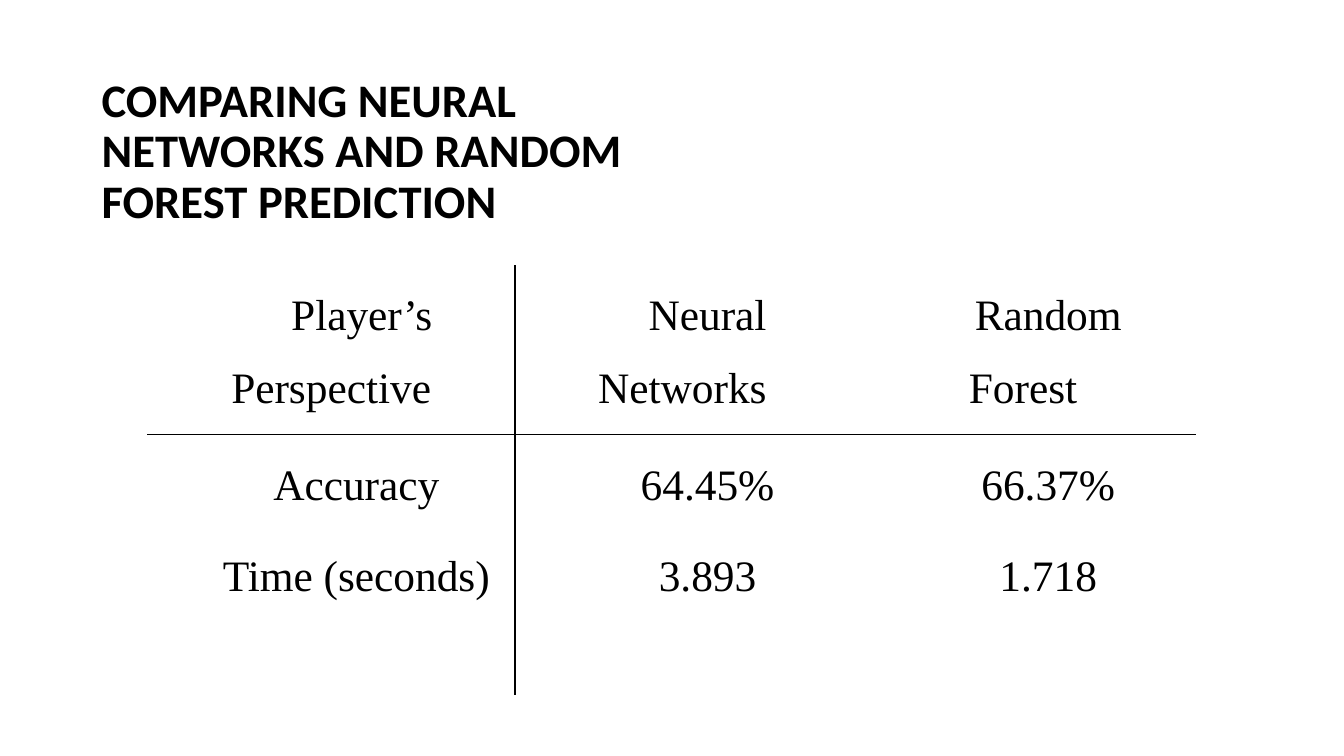
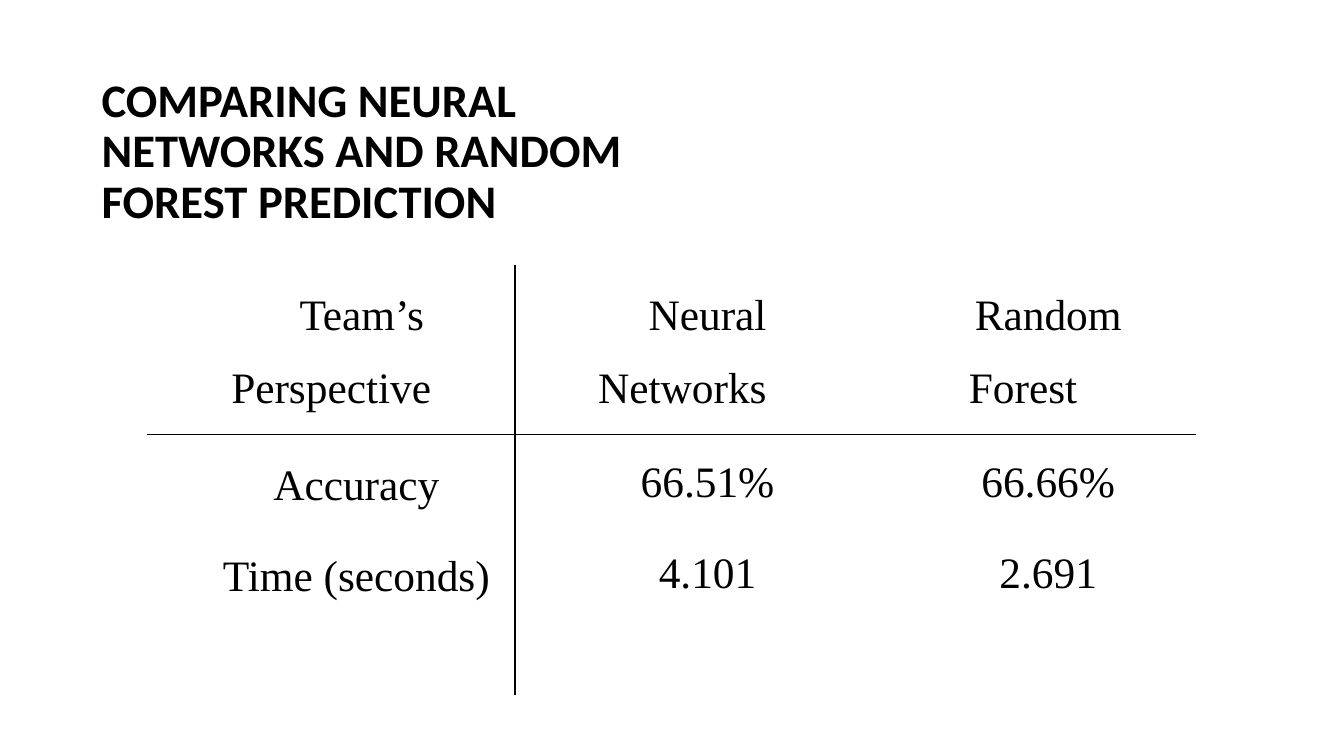
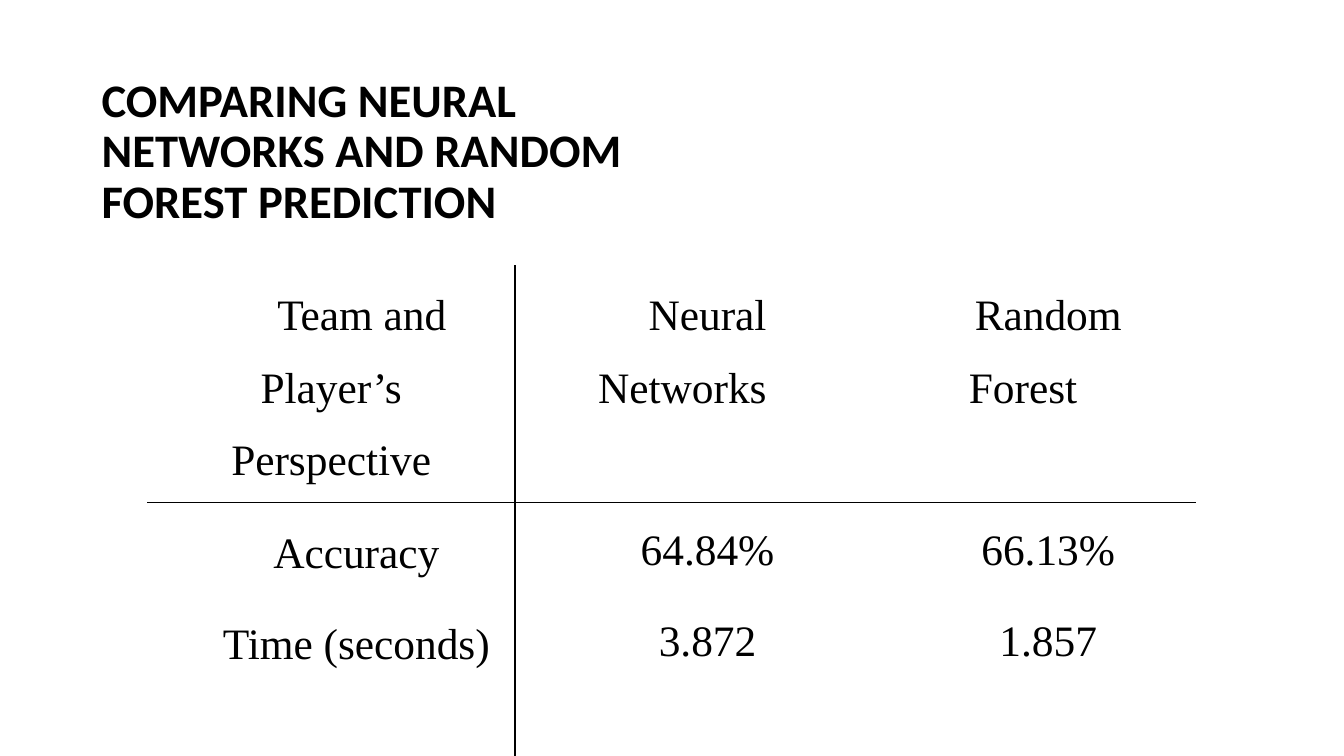
from lxml import etree
from pptx import Presentation
from pptx import util as u
from pptx.dml.color import RGBColor
from pptx.enum import text
from pptx.oxml.ns import qn

BLACK = RGBColor(0x00, 0x00, 0x00)
TITLE = "COMPARING NEURAL NETWORKS AND RANDOM FOREST PREDICTION"
TITLE_FONT = {"name": "Calibri", "size": u.Pt(33.3), "bold": True}
TABLE_FONT = {"name": "Times New Roman", "size": u.Pt(31), "bold": False}
TITLE_FRAME = {"word_wrap": True, "vertical_anchor": text.MSO_ANCHOR.MIDDLE}
TITLE_PARA = {"line_spacing": 0.9}
CELL_PARA = {"line_spacing": 1.5, "alignment": text.PP_ALIGN.CENTER}
WIDE_MARGINS = {"margin_left": u.Cm(0.48), "margin_right": u.Cm(0.48),
                "margin_top": u.Cm(0.08), "margin_bottom": u.Cm(0)}
NARROW_MARGINS = {"margin_left": u.Cm(0.18), "margin_right": u.Cm(0.18),
                  "margin_top": u.Cm(0), "margin_bottom": u.Cm(0)}
COLUMN_WIDTHS = [9.27, 8.43, 8.74]
ROW_HEIGHTS = [4.27, 2.29, 4.27]

COMPARISONS = [
    ("Player’s Perspective", ["64.45%", "66.37%"], ["3.893", "1.718"], WIDE_MARGINS),
    ("Team’s Perspective", ["66.51%", "66.66%"], ["4.101", "2.691"], NARROW_MARGINS),
    ("Team and Player’s Perspective", ["64.84%", "66.13%"], ["3.872", "1.857"], NARROW_MARGINS),
]


def apply(target, values):
    for name, value in values.items():
        setattr(target, name, value)


def write(para, words, para_format, font):
    apply(para, para_format)
    span = para.add_run()
    span.text = words
    apply(span.font, font)
    span.font.color.rgb = BLACK


deck = Presentation()
deck.slide_width, deck.slide_height = u.Cm(33.87), u.Cm(19.05)

for perspective, accuracy, seconds, value_margins in COMPARISONS:
    page = deck.slides.add_slide(deck.slide_layouts[6])
    box = page.shapes.add_textbox(u.Cm(2.31), u.Cm(1.52), u.Cm(14.35), u.Cm(4.65))
    apply(box.text_frame, TITLE_FRAME)
    write(box.text_frame.paragraphs[0], TITLE, TITLE_PARA, TITLE_FONT)

    rows = [
        ["\u00a0" + perspective, "Neural Networks", "Random Forest"],
        ["Accuracy", *accuracy],
        ["Time (seconds)", *seconds],
    ]
    table = page.shapes.add_table(
        len(rows), len(COLUMN_WIDTHS), u.Cm(3.71), u.Cm(6.68),
        u.Cm(sum(COLUMN_WIDTHS)), u.Cm(sum(ROW_HEIGHTS))).table
    apply(table, {"first_row": False, "horz_banding": False})
    for column, width in zip(table.columns, COLUMN_WIDTHS):
        column.width = u.Cm(width)
    for row, height in zip(table.rows, ROW_HEIGHTS):
        row.height = u.Cm(height)

    for r, row in enumerate(rows):
        for c, words in enumerate(row):
            cell = table.cell(r, c)
            apply(cell, value_margins if r and c else WIDE_MARGINS)
            cell.fill.background()
            para = cell.text_frame.paragraphs[0]
            write(para, words, CELL_PARA, TABLE_FONT)
            para._p.get_or_add_pPr().set("indent", str(u.Cm(1.27)))

            ruled = {"lnL": c == 1, "lnR": c == 0, "lnT": r == 1, "lnB": r == 0}
            properties = cell._tc.get_or_add_tcPr()
            for order, (side, visible) in enumerate(ruled.items()):
                line = etree.Element(qn(f"a:{side}"), w=str(u.Pt(1)))
                if visible:
                    fill = etree.SubElement(line, qn("a:solidFill"))
                    etree.SubElement(fill, qn("a:srgbClr"), val=str(BLACK))
                else:
                    etree.SubElement(line, qn("a:noFill"))
                properties.insert(order, line)

deck.save("out.pptx")
